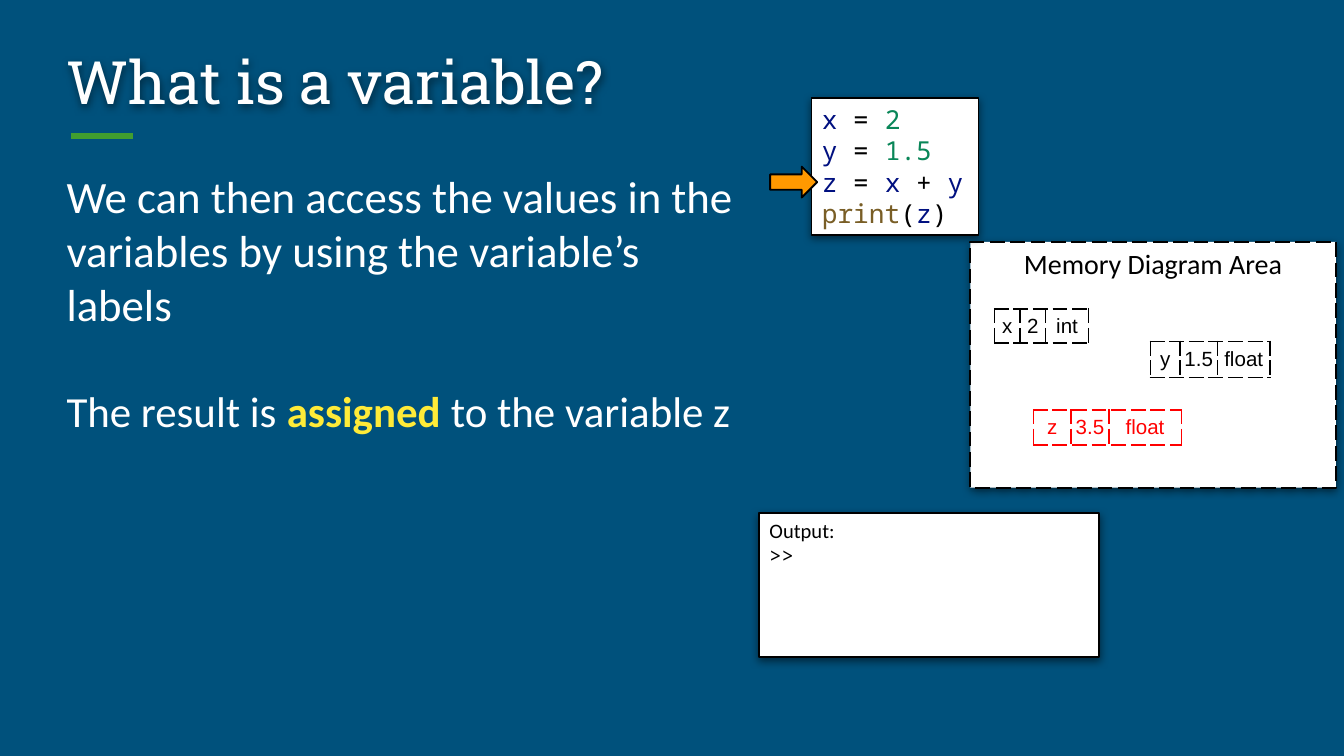
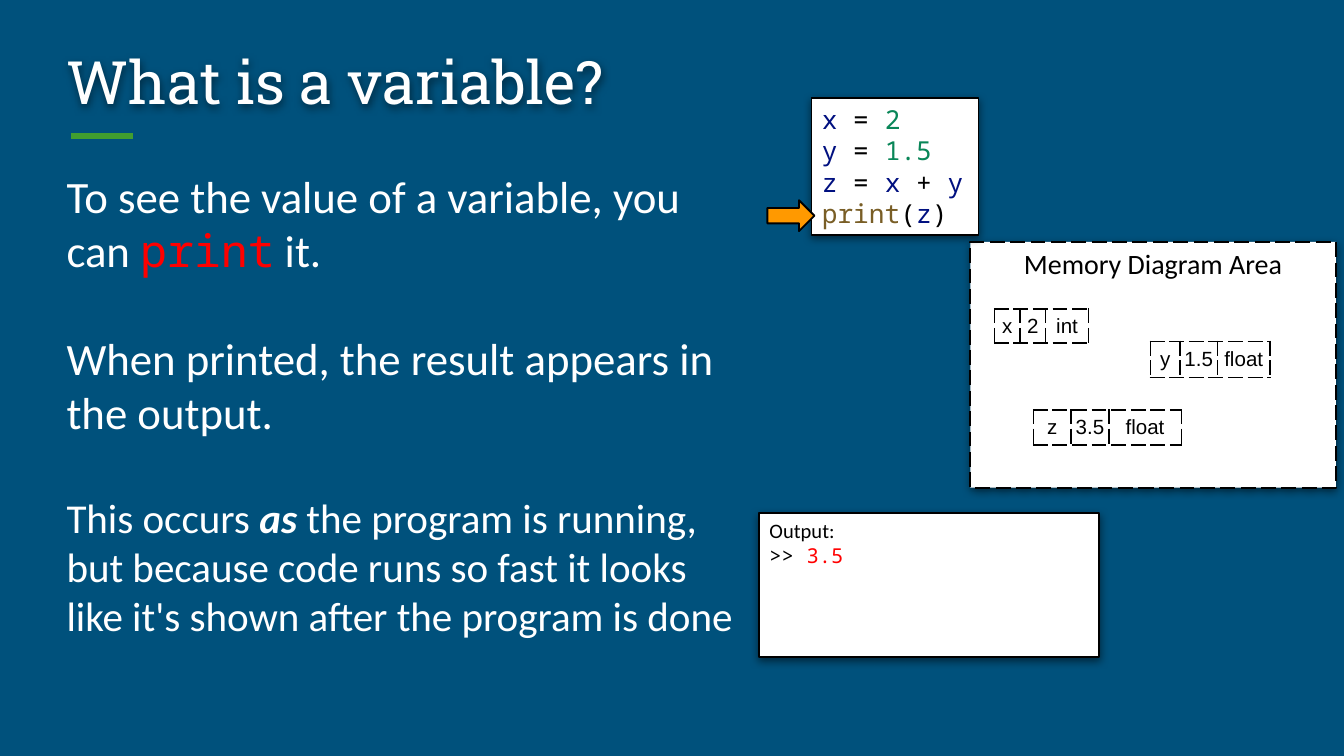
"""Build two slides showing how variables live in memory and get printed."""
import lxml.etree
import pptx
import pptx.dml.color
import pptx.enum.dml
import pptx.enum.shapes
import pptx.enum.text
import pptx.oxml
import pptx.oxml.ns
import pptx.util

Inches, Pt = pptx.util.Inches, pptx.util.Pt
RGBColor = pptx.dml.color.RGBColor
SHAPE = pptx.enum.shapes.MSO_SHAPE
ANCHOR = pptx.enum.text.MSO_ANCHOR
ALIGN = pptx.enum.text.PP_ALIGN
DASH = pptx.enum.dml.MSO_LINE.LONG_DASH
qn = pptx.oxml.ns.qn

NAVY = RGBColor(0x00, 0x51, 0x7C)
GREEN = RGBColor(0x41, 0x9E, 0x2F)
WHITE = RGBColor(0xFF, 0xFF, 0xFF)
BLACK = RGBColor(0x00, 0x00, 0x00)
RED = RGBColor(0xFF, 0x00, 0x00)
YELLOW = RGBColor(0xFF, 0xEB, 0x38)
ORANGE = RGBColor(0xFF, 0x99, 0x00)
CODE_NAME = RGBColor(0x00, 0x10, 0x80)
CODE_NUMBER = RGBColor(0x09, 0x86, 0x58)
CODE_CALL = RGBColor(0x79, 0x5E, 0x26)

SANS, MONO, SLAB, CELL_FONT = "Calibri", "Noto Sans Mono", "Roboto Slab", "Arial"

CODE = [
    [("x", CODE_NAME), (" = ", BLACK), ("2", CODE_NUMBER)],
    [("y", CODE_NAME), (" = ", BLACK), ("1.5", CODE_NUMBER)],
    [("z", CODE_NAME), (" = ", BLACK), ("x", CODE_NAME), (" + ", BLACK), ("y", CODE_NAME)],
    [("print", CODE_CALL), ("(", BLACK), ("z", CODE_NAME), (")", BLACK)],
]


def style(font, size, name, color, bold=False, italic=False):
    """Set the look of a run."""
    font.size, font.name, font.bold, font.italic = Pt(size), name, bold, italic
    font.color.rgb = color


def write(p, runs, size, name, color):
    """Fill a paragraph with (text, overrides) runs; a newline text breaks the line."""
    for text, changes in runs:
        if text == "\n":
            p.add_line_break()
            continue
        r = p.add_run()
        r.text = text
        style(r.font, **{"size": size, "name": name, "color": color, **changes})


def add_effects(sp, shadow=True):
    """Drop the theme effects and optionally add a soft shadow below."""
    sp.shadow.inherit = False
    if shadow:
        effects = sp._element.spPr.find(qn("a:effectLst"))
        effects.append(pptx.oxml.parse_xml(
            '<a:outerShdw xmlns:a="http://schemas.openxmlformats.org/drawingml/2006/main"'
            ' blurRad="57150" dist="19050" dir="5400000" algn="bl" rotWithShape="0">'
            '<a:srgbClr val="000000"><a:alpha val="50000"/></a:srgbClr></a:outerShdw>'))


def set_frame(sp, anchor=ANCHOR.TOP):
    """Give a shape the shared margins and return its text frame."""
    tf = sp.text_frame
    tf.word_wrap, tf.vertical_anchor = True, anchor
    tf.margin_left = tf.margin_right = Pt(5.4)
    tf.margin_top = tf.margin_bottom = Pt(2.7)
    return tf


def add_text(s, box, anchor=ANCHOR.TOP):
    """Add a text box and return it with its frame."""
    sp = s.shapes.add_textbox(*map(Inches, box))
    return sp, set_frame(sp, anchor)


def add_panel(s, box, weight=1, dash=None):
    """Add a white shadowed panel and return its text frame."""
    sp = s.shapes.add_shape(SHAPE.RECTANGLE, *map(Inches, box))
    sp.fill.solid()
    sp.fill.fore_color.rgb = WHITE
    sp.line.color.rgb, sp.line.width = BLACK, Pt(weight)
    if dash:
        sp.line.dash_style = dash
    add_effects(sp)
    tf = set_frame(sp)
    tf.paragraphs[0].alignment = ALIGN.LEFT
    return tf


def add_title(s, box, text):
    """Add the shadowed title with the green rule under it."""
    left, top, _, height = box
    y = Inches(top + height)
    rule = s.shapes.add_connector(pptx.enum.shapes.MSO_CONNECTOR.STRAIGHT,
                                  Inches(left + 0.11), y, Inches(left + 0.57), y)
    rule.line.color.rgb, rule.line.width = GREEN, Pt(3)
    lxml.etree.SubElement(rule._element.spPr, qn("a:effectLst"))
    sp, tf = add_text(s, box, ANCHOR.MIDDLE)
    p = tf.paragraphs[0]
    p.text, p.line_spacing = text, 0.9
    style(p.runs[0].font, 32, SLAB, WHITE)
    add_effects(sp)


def add_body(s, box, paragraphs):
    """Add the explanation, each paragraph one line apart."""
    _, tf = add_text(s, box)
    for i, (size, runs) in enumerate(paragraphs):
        p = tf.add_paragraph() if i else tf.paragraphs[0]
        p.space_before = Pt(29 if i else 0)
        write(p, runs, size, SANS, WHITE)


def add_output(s, box, printed):
    """Add the output console with the printed value, if any."""
    runs = [("Output:", {}), ("\n", {}), (">> " if printed else ">>", {"name": MONO})]
    if printed:
        runs.append((printed, {"name": MONO, "color": RED}))
    write(add_panel(s, box).paragraphs[0], runs, 11, SANS, BLACK)


def add_variable(s, left, top, widths, height, values, color):
    """Add a one-row table holding a variable's label, value and type."""
    table = s.shapes.add_table(1, len(values), Inches(left), Inches(top),
                               Inches(sum(widths)), Inches(height)).table
    table.first_row = table.horz_banding = False
    for column, width, cell, value in zip(table.columns, widths, table.rows[0].cells, values):
        column.width = Inches(width)
        cell.margin_left = cell.margin_right = cell.margin_top = cell.margin_bottom = 0
        cell.vertical_anchor = ANCHOR.MIDDLE
        for side in ("lnL", "lnR", "lnT", "lnB"):
            ln = lxml.etree.SubElement(cell._tc.get_or_add_tcPr(), qn(f"a:{side}"), w=str(Pt(1)))
            fill = lxml.etree.SubElement(ln, qn("a:solidFill"))
            lxml.etree.SubElement(fill, qn("a:srgbClr"), val=str(color))
            lxml.etree.SubElement(ln, qn("a:prstDash"), val="lgDash")
        cell.fill.background()
        p = cell.text_frame.paragraphs[0]
        p.text, p.alignment = value, ALIGN.CENTER
        style(p.runs[0].font, 11, CELL_FONT, color)


def add_memory(s, box, z_color):
    """Add the memory diagram with its three variables."""
    left, top = box[:2]
    p = add_panel(s, box, dash=DASH).paragraphs[0]
    p.text, p.alignment = "Memory Diagram Area", ALIGN.CENTER
    style(p.runs[0].font, 15, SANS, BLACK)
    for dx, dy, widths, height, values, color in (
            (0.18, 0.5, (0.19, 0.19, 0.32), 0.25, ("x", "2", "int"), BLACK),
            (1.34, 0.74, (0.22, 0.28, 0.39), 0.27, ("y", "1.5", "float"), BLACK),
            (0.47, 1.25, (0.28, 0.28, 0.54), 0.26, ("z", "3.5", "float"), z_color)):
        add_variable(s, left + dx, top + dy, widths, height, values, color)


def add_code(s, box, arrow_dx, arrow_dy):
    """Add the code listing and the arrow at the line being run."""
    left, top = box[:2]
    tf = add_panel(s, box, weight=0.75)
    for i, line in enumerate(CODE):
        p = tf.add_paragraph() if i else tf.paragraphs[0]
        p.alignment = ALIGN.LEFT
        write(p, [(text, {"color": color}) for text, color in line], 14, MONO, BLACK)
    arrow = s.shapes.add_shape(SHAPE.RIGHT_ARROW, Inches(left + arrow_dx),
                               Inches(top + arrow_dy), Inches(0.35), Inches(0.23))
    arrow.fill.solid()
    arrow.fill.fore_color.rgb = ORANGE
    arrow.line.color.rgb, arrow.line.width = BLACK, Pt(1)
    add_effects(arrow, shadow=False)


def add_variable_slide(prs, paragraphs, arrow, z_color, printed=""):
    """Add one step of the variable walkthrough."""
    s = prs.slides.add_slide(prs.slide_layouts[6])
    s.background.fill.solid()
    s.background.fill.fore_color.rgb = NAVY
    add_title(s, (0.42, 0.26, 9.15, 0.75), "What is a variable?")
    add_body(s, (0.42, 1.22, 5.23, 3.77), paragraphs)
    add_output(s, (5.65, 3.82, 2.53, 1.07), printed)
    add_memory(s, (7.22, 1.8, 2.72, 1.83), z_color)
    add_code(s, (6.04, 0.73, 1.24, 1.02), *arrow)


def main():
    """Build and save the deck."""
    prs = pptx.Presentation()
    prs.slide_width = Inches(10)
    prs.slide_height = prs.slide_width * 9 // 16
    add_variable_slide(prs, [
        (24, [("We can then access the values in the variables by using the variable’s labels", {})]),
        (23, [("The result is ", {}), ("assigned ", {"color": YELLOW, "bold": True}),
              ("to the variable z", {})]),
    ], (-0.31, 0.51), RED)
    add_variable_slide(prs, [
        (24, [("To see the value of a variable, you can ", {}),
              ("print", {"name": MONO, "color": RED}), (" it.", {})]),
        (24, [("When printed, the result appears in the output.", {})]),
        (22, [("This occurs ", {}), ("as ", {"bold": True, "italic": True}),
              ("the program is running, but because code runs so fast it looks "
               "like it's shown after the program is done", {})]),
    ], (-0.33, 0.76), BLACK, "3.5")
    prs.save("out.pptx")


if __name__ == "__main__":
    main()
